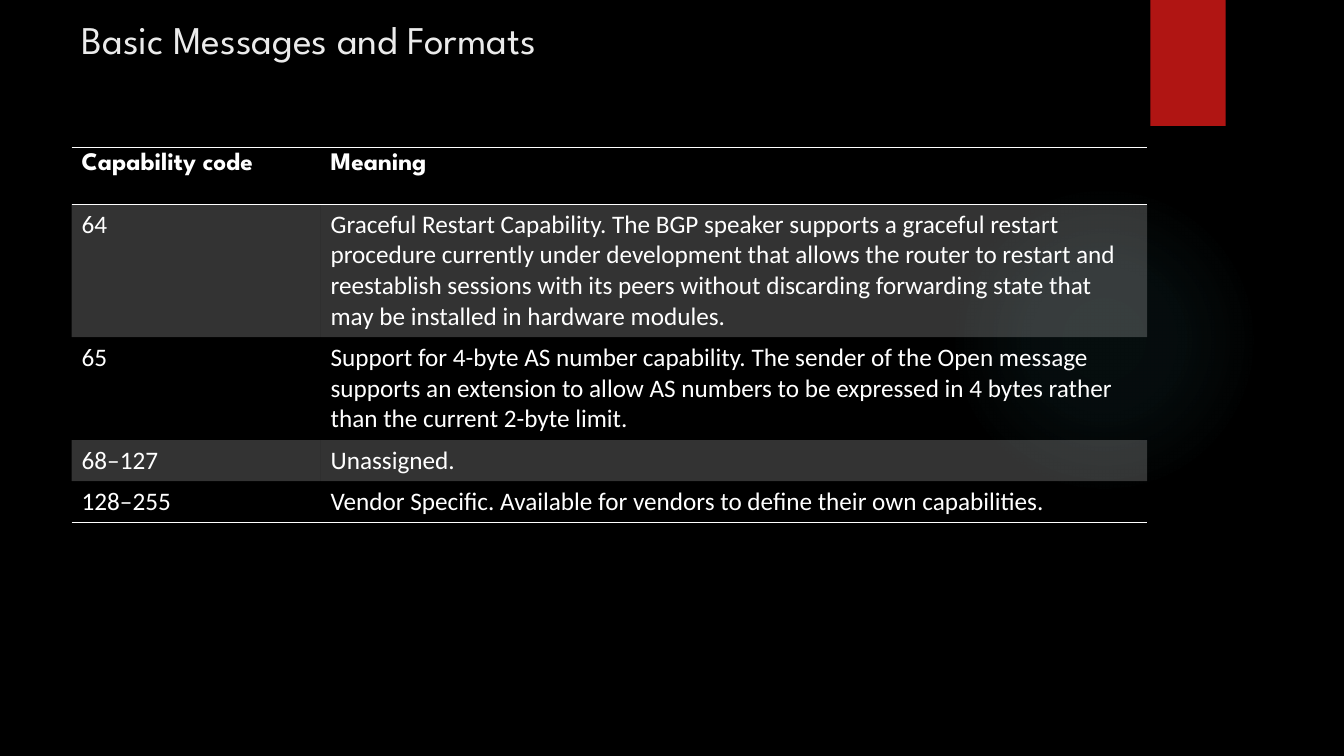
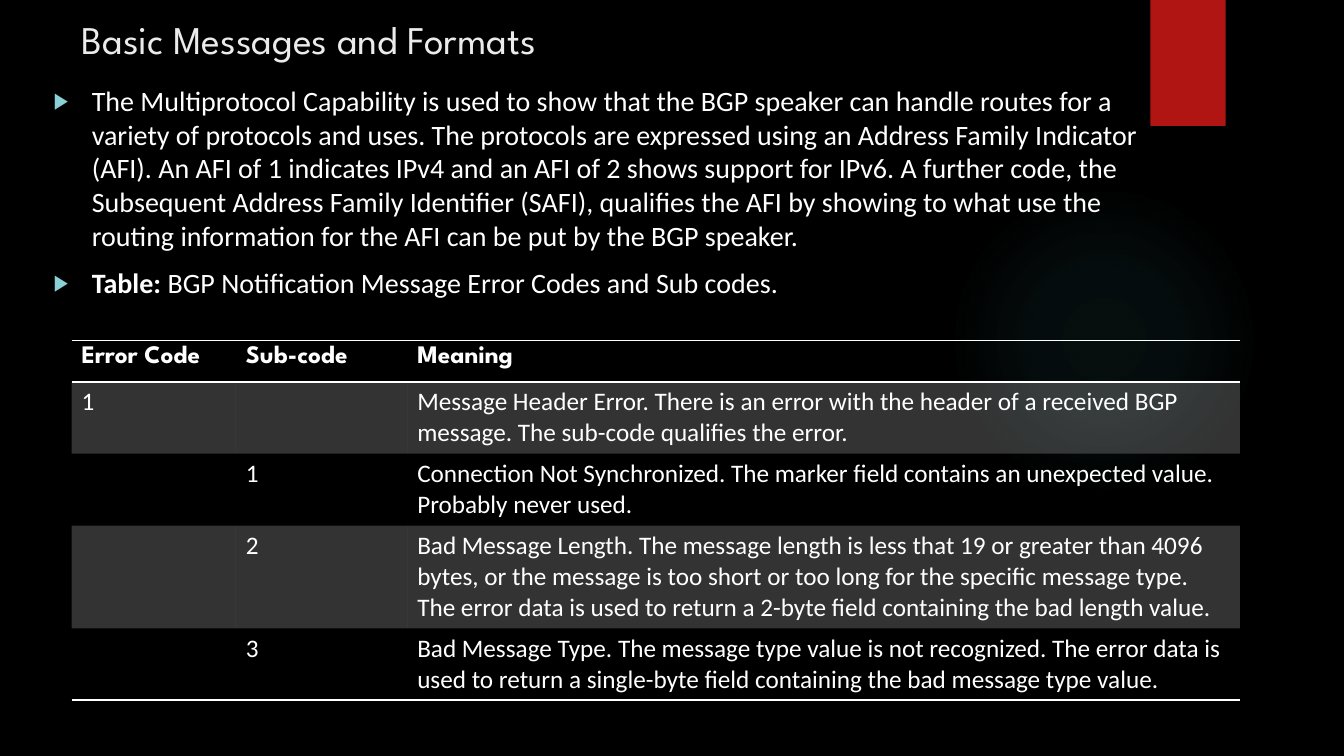
from lxml.etree import SubElement
from pptx import Presentation
from pptx.dml.color import RGBColor
from pptx.enum.shapes import MSO_SHAPE
from pptx.enum.text import MSO_ANCHOR, MSO_AUTO_SIZE, PP_ALIGN
from pptx.oxml import parse_xml
from pptx.oxml.ns import nsdecls, qn
from pptx.util import Emu, Inches, Pt

COLORS = {
    "background": "000000",
    "band": "B01513",
    "glow": "50B9C1",
    "title": "EBEBEB",
    "text": "FFFFFF",
    "bullet": "8AD0D6",
}
HEADING_FONT = "League Spartan"
BODY_FONT = "Calibri"
PLAIN_TABLE_STYLE = "{2D5ABB26-0587-4C30-8999-92F81FD0307C}"
TABLE_LEFT = 5.33

presentation = Presentation()
presentation.slide_width = Inches(13.33)
presentation.slide_height = Inches(7.5)
WIDTH_PERCENT = presentation.slide_width / 100
HEIGHT_PERCENT = presentation.slide_height / 100


def box(left, top, width, height):
    return (
        Emu(round(left * WIDTH_PERCENT)),
        Emu(round(top * HEIGHT_PERCENT)),
        Emu(round(width * WIDTH_PERCENT)),
        Emu(round(height * HEIGHT_PERCENT)),
    )


def write(paragraph, text, size=18, font=BODY_FONT, color="text", bold=False):
    run = paragraph.add_run()
    run.text = text
    run.font.size = Pt(size)
    run.font.name = font
    run.font.bold = bold
    run.font.color.rgb = RGBColor.from_string(COLORS[color])


slides = [
    {
        "layout": 5,
        "title": "Basic Messages and Formats",
        "bullets": [],
        "top": 19.5,
        "columns": [18.52, 61.5],
        "heights": [7.5, 17.6, 13.6, 5.45, 5.45],
        "rows": [
            ["Capability code", "Meaning"],
            ["64", "Graceful Restart Capability. The BGP speaker supports a graceful restart "
             "procedure currently under development that allows the router to restart and "
             "reestablish sessions with its peers without discarding forwarding state that "
             "may be installed in hardware modules."],
            ["65", "Support for 4-byte AS number capability. The sender of the Open message "
             "supports an extension to allow AS numbers to be expressed in 4 bytes rather "
             "than the current 2-byte limit."],
            ["68–127", "Unassigned."],
            ["128–255", "Vendor Specific. Available for vendors to define their own capabilities."],
        ],
    },
    {
        "layout": 1,
        "title": "Basic Messages and Formats",
        "bullets": [
            ("", "The Multiprotocol Capability is used to show that the BGP speaker can handle "
             "routes for a variety of protocols and uses. The protocols are expressed using an "
             "Address Family Indicator (AFI). An AFI of 1 indicates IPv4 and an AFI of 2 shows "
             "support for IPv6. A further code, the Subsequent Address Family Identifier (SAFI), "
             "qualifies the AFI by showing to what use the routing information for the AFI can "
             "be put by the BGP speaker."),
            ("Table: ", "BGP Notification Message Error Codes and Sub codes."),
        ],
        "top": 45.07,
        "columns": [12.22, 12.75, 61.95],
        "heights": [5.45, 9.5, 9.5, 13.6, 9.5],
        "rows": [
            ["Error Code", "Sub-code", "Meaning"],
            ["1", "", "Message Header Error. There is an error with the header of a received BGP "
             "message. The sub-code qualifies the error."],
            ["", "1", "Connection Not Synchronized. The marker field contains an unexpected value.\n"
             "Probably never used."],
            ["", "2", "Bad Message Length. The message length is less that 19 or greater than 4096 "
             "bytes, or the message is too short or too long for the specific message type. The "
             "error data is used to return a 2-byte field containing the bad length value."],
            ["", "3", "Bad Message Type. The message type value is not recognized. The error data is "
             "used to return a single-byte field containing the bad message type value."],
        ],
    },
]

master = presentation.slide_master
master.background.fill.solid()
master.background.fill.fore_color.rgb = RGBColor.from_string(COLORS["background"])

for number, content in enumerate(slides):
    slide = presentation.slides.add_slide(presentation.slide_layouts[content["layout"]])

    if number == 0:
        glow = slide.shapes.add_shape(MSO_SHAPE.OVAL, *box(70.6, 24.4, 23.1, 41.07))
        band = slide.shapes.add_shape(MSO_SHAPE.RECTANGLE, *box(85.6, 0, 5.6, 16.67))
        for position, shape in enumerate([glow, band], start=2):
            shape.shadow.inherit = False
            shape.line.fill.background()
            shape.fill.solid()
            shape.fill.fore_color.rgb = RGBColor.from_string(COLORS["band"])
            master.element.cSld.spTree.insert(position, shape.element)
        stops = "".join(
            f'<a:gs pos="{stop * 1000}"><a:srgbClr val="{COLORS["glow"]}">'
            f'<a:alpha val="{alpha * 1000}"/></a:srgbClr></a:gs>'
            for stop, alpha in [(0, 7), (36, 6), (69, 0), (100, 0)]
        )
        gradient = parse_xml(
            f'<a:gradFill {nsdecls("a")} rotWithShape="1"><a:gsLst>{stops}</a:gsLst>'
            '<a:path path="circle"><a:fillToRect l="50000" t="50000" r="50000" b="50000"/>'
            "</a:path></a:gradFill>"
        )
        properties = glow.element.spPr
        properties.replace(properties.find(qn("a:solidFill")), gradient)

    title = slide.shapes.title
    title.left, title.top, title.width, title.height = box(TABLE_LEFT, 0, 77.2, 10.4)
    title.text_frame.auto_size = MSO_AUTO_SIZE.NONE
    title.text_frame.vertical_anchor = MSO_ANCHOR.MIDDLE
    title_paragraph = title.text_frame.paragraphs[0]
    title_paragraph.alignment = PP_ALIGN.LEFT
    write(title_paragraph, content["title"], size=28, font=HEADING_FONT, color="title")

    if content["bullets"]:
        body = slide.placeholders[1]
        body.left, body.top, body.width, body.height = box(3.23, 10.4, 82.8, 80.7)
        body.text_frame.auto_size = MSO_AUTO_SIZE.NONE
        for index, (lead, text) in enumerate(content["bullets"]):
            paragraph = body.text_frame.add_paragraph() if index else body.text_frame.paragraphs[0]
            paragraph.space_before = Pt(10 if index else 0)
            paragraph_properties = paragraph._p.get_or_add_pPr()
            paragraph_properties.set("marL", str(Inches(0.38)))
            paragraph_properties.set("indent", str(-Inches(0.38)))
            bullet_color = SubElement(paragraph_properties, qn("a:buClr"))
            SubElement(bullet_color, qn("a:srgbClr"), val=COLORS["bullet"])
            SubElement(paragraph_properties, qn("a:buSzPct"), val="80000")
            SubElement(paragraph_properties, qn("a:buFont"), typeface=BODY_FONT)
            SubElement(paragraph_properties, qn("a:buChar"), char="▶")
            if lead:
                write(paragraph, lead, size=20, bold=True)
            write(paragraph, text, size=20)

    rows, columns, heights = content["rows"], content["columns"], content["heights"]
    frame = slide.shapes.add_table(
        len(rows), len(columns), *box(TABLE_LEFT, content["top"], sum(columns), sum(heights))
    )
    table = frame.table
    table.first_row = table.horz_banding = False
    frame.element.find(".//" + qn("a:tableStyleId")).text = PLAIN_TABLE_STYLE
    for column, width in zip(table.columns, columns):
        column.width = Emu(round(width * WIDTH_PERCENT))

    for row_index, (texts, height) in enumerate(zip(rows, heights)):
        table.rows[row_index].height = Emu(round(height * HEIGHT_PERCENT))
        header = row_index == 0
        borders = ["a:lnT", "a:lnB"] if header else []
        if row_index == len(rows) - 1:
            borders = ["a:lnB"]
        for column_index, text in enumerate(texts):
            cell = table.cell(row_index, column_index)
            for border in borders:
                line = SubElement(cell._tc.get_or_add_tcPr(), qn(border), w=str(Pt(1)))
                line_fill = SubElement(line, qn("a:solidFill"))
                SubElement(line_fill, qn("a:srgbClr"), val=COLORS["text"])
            if row_index % 2:
                cell.fill.solid()
                cell.fill.fore_color.rgb = RGBColor.from_string(COLORS["text"])
                fill_color = cell._tc.tcPr.find(".//" + qn("a:srgbClr"))
                SubElement(fill_color, qn("a:alpha"), val="20000")
            else:
                cell.fill.background()
            for line_index, line_text in enumerate(text.split("\n") if text else []):
                paragraph = cell.text_frame.add_paragraph() if line_index else cell.text_frame.paragraphs[0]
                write(paragraph, line_text, font=HEADING_FONT if header else BODY_FONT, bold=header)

presentation.save("out.pptx")
